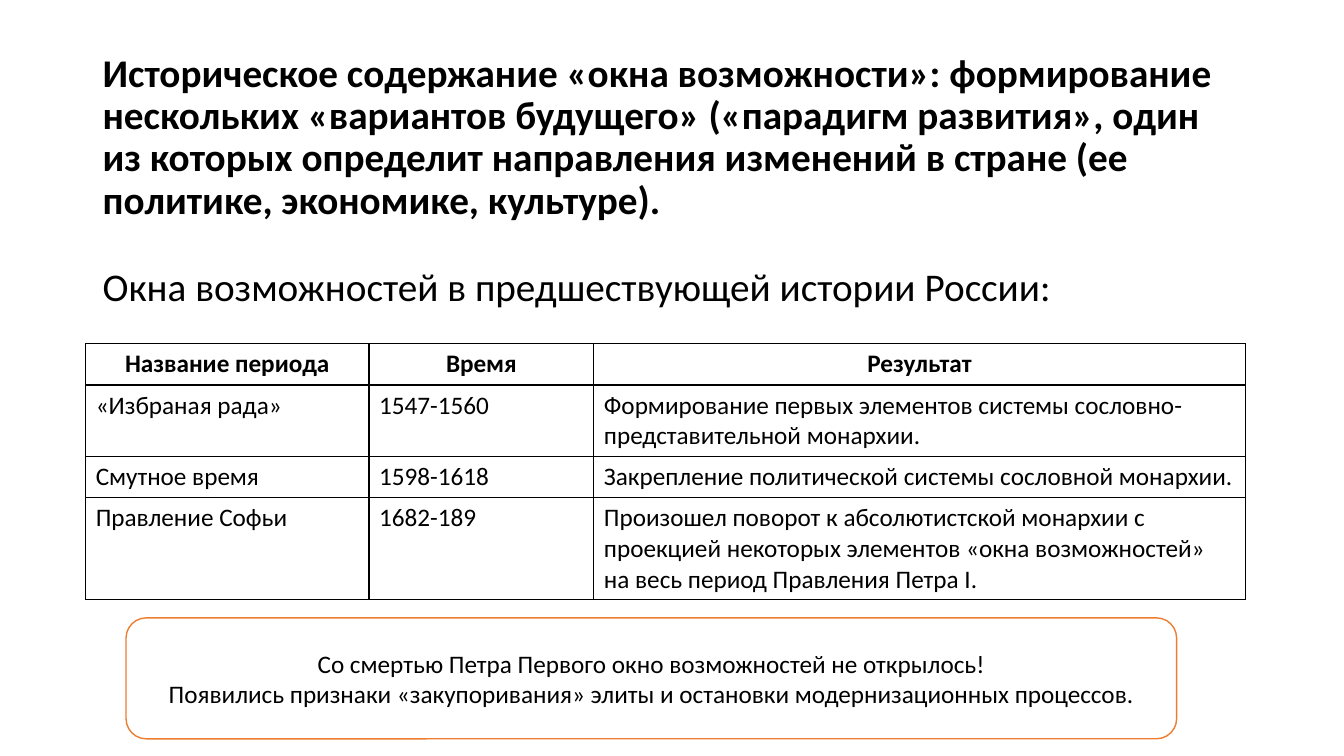
from lxml.etree import SubElement
from pptx import Presentation
from pptx.dml.color import RGBColor
from pptx.enum.shapes import MSO_SHAPE
from pptx.enum.text import MSO_ANCHOR, PP_ALIGN
from pptx.oxml import parse_xml
from pptx.oxml.ns import nsdecls
from pptx.util import Inches, Pt

TITLE = ("Историческое содержание «окна возможности»: формирование нескольких "
         "«вариантов будущего» («парадигм развития», один из которых определит "
         "направления изменений в стране (ее политике, экономике, культуре).")
SUBTITLE = "Окна возможностей в предшествующей истории России:"
PERIODS = [
    ("Название периода", "Время", "Результат"),
    ("«Избраная рада»", "1547-1560",
     "Формирование первых элементов системы сословно-представительной монархии."),
    ("Смутное время", "1598-1618",
     "Закрепление политической системы сословной монархии."),
    ("Правление Софьи", "1682-189",
     "Произошел поворот к абсолютистской монархии с проекцией некоторых элементов "
     "«окна возможностей» на весь период Правления Петра I."),
]
CONCLUSION = [
    "Со смертью Петра Первого окно возможностей не открылось!",
    "Появились признаки «закупоривания» элиты и остановки модернизационных процессов.",
]
FONT, BLACK, WHITE, ORANGE = "Calibri", "000000", "FFFFFF", "ED7D31"
COLS = [2.81, 2.23, 6.46]
ROWS = [0.41, 0.71, 0.41, 1.01]


def color(value):
    return RGBColor.from_string(value)


def write(tf, lines, size, bold=False, align=PP_ALIGN.LEFT, spacing=None):
    tf.word_wrap = True
    for i, line in enumerate(lines):
        p = tf.paragraphs[0] if i == 0 else tf.add_paragraph()
        p.alignment = align
        if spacing:
            p.line_spacing = spacing
        r = p.add_run()
        r.text = line
        r.font.name = FONT
        r.font.size = Pt(size)
        r.font.bold = bold
        r.font.color.rgb = color(BLACK)


def add_text(s, box, line, bold, anchor):
    tf = s.shapes.add_textbox(*map(Inches, box)).text_frame
    tf.vertical_anchor = anchor
    write(tf, [line], 28, bold, spacing=0.9)


def add_borders(cell):
    tcPr = cell._tc.get_or_add_tcPr()
    for i, side in enumerate("LRTB"):
        ln = parse_xml(f'<a:ln{side} {nsdecls("a")} w="{Pt(1)}"><a:solidFill>'
                       f'<a:srgbClr val="{BLACK}"/></a:solidFill></a:ln{side}>')
        tcPr.insert(i, ln)


def add_periods(s, left, top):
    frame = s.shapes.add_table(len(ROWS), len(COLS), Inches(left), Inches(top),
                               Inches(sum(COLS)), Inches(sum(ROWS)))
    table = frame.table
    table.horz_banding = False
    for col, width in zip(table.columns, COLS):
        col.width = Inches(width)
    for i, (row, height) in enumerate(zip(table.rows, ROWS)):
        row.height = Inches(height)
        header = i == 0
        for cell, text in zip(row.cells, PERIODS[i]):
            cell.fill.background()
            add_borders(cell)
            write(cell.text_frame, [text], 18, header,
                  PP_ALIGN.CENTER if header else PP_ALIGN.LEFT)


def add_conclusion(s, box):
    sp = s.shapes.add_shape(MSO_SHAPE.ROUNDED_RECTANGLE, *map(Inches, box))
    sp.shadow.inherit = False
    sp.fill.solid()
    sp.fill.fore_color.rgb = color(WHITE)
    sp.line.color.rgb = color(ORANGE)
    sp.line.width = Pt(1)
    sp.text_frame.vertical_anchor = MSO_ANCHOR.MIDDLE
    write(sp.text_frame, CONCLUSION, 18, align=PP_ALIGN.CENTER)


def main():
    prs = Presentation()
    prs.slide_width, prs.slide_height = Inches(13.33), Inches(7.5)
    s = prs.slides.add_slide(prs.slide_layouts[6])
    add_text(s, (0.92, 0.4, 11.5, 1.94), TITLE, True, MSO_ANCHOR.MIDDLE)
    add_text(s, (0.92, 2.61, 11.5, 4.14), SUBTITLE, False, MSO_ANCHOR.TOP)
    add_periods(s, 0.85, 3.41)
    add_conclusion(s, (1.25, 6.13, 10.42, 1.2))
    prs.save("out.pptx")


if __name__ == "__main__":
    main()
